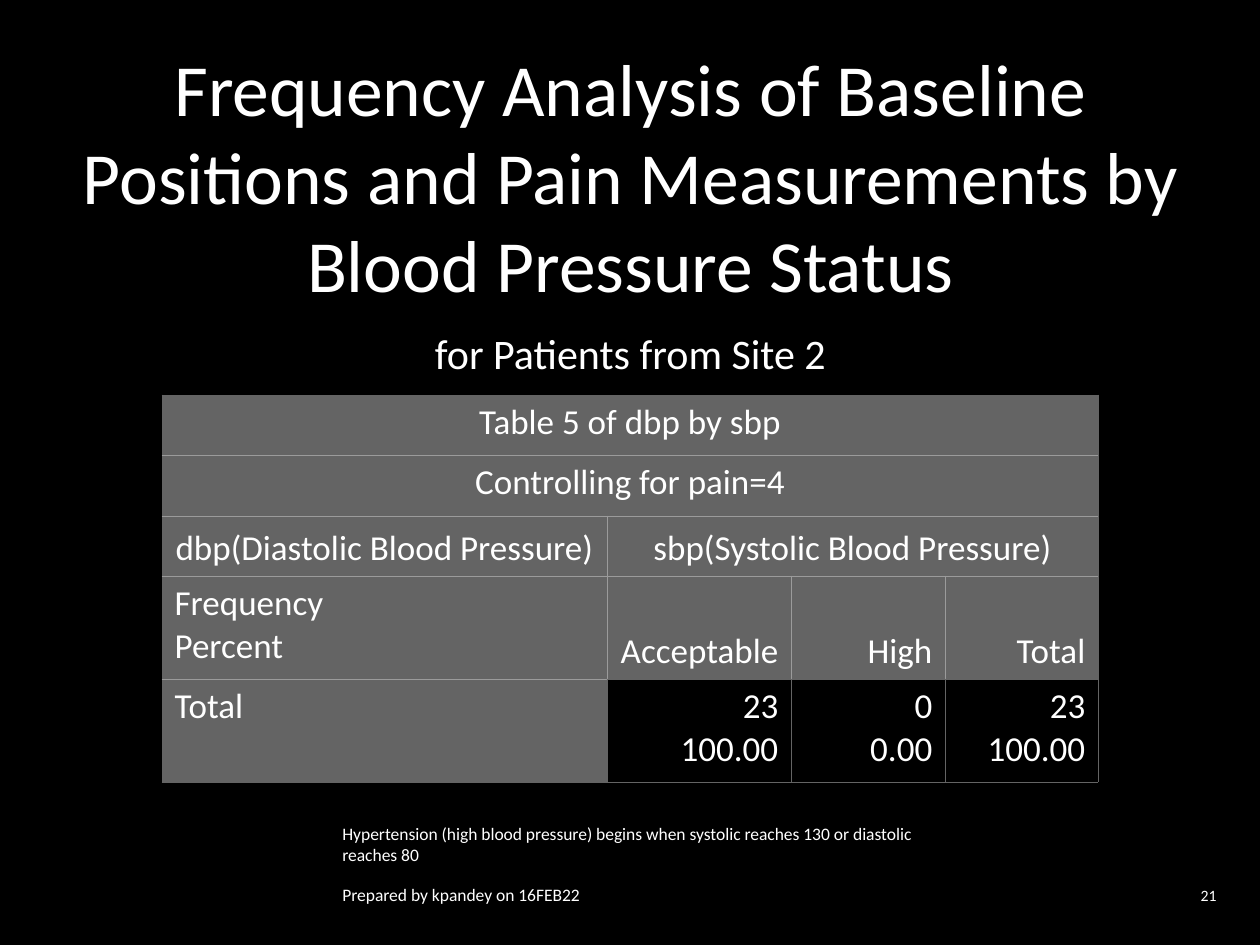
from dataclasses import dataclass

import pptx
import pptx.dml.color
import pptx.enum.text
import pptx.oxml.ns
import pptx.util
from lxml import etree

EMU_PER_PX = 914400 / 126
FONT = "Calibri"
BLACK = pptx.dml.color.RGBColor(0x00, 0x00, 0x00)
WHITE = pptx.dml.color.RGBColor(0xFF, 0xFF, 0xFF)
GREY = pptx.dml.color.RGBColor(0x64, 0x64, 0x64)
LIGHT_GREY = pptx.dml.color.RGBColor(0x9B, 0x9B, 0x9B)

LEFT, CENTER, RIGHT = (
    pptx.enum.text.PP_ALIGN.LEFT,
    pptx.enum.text.PP_ALIGN.CENTER,
    pptx.enum.text.PP_ALIGN.RIGHT,
)
TOP, MIDDLE, BOTTOM = (
    pptx.enum.text.MSO_ANCHOR.TOP,
    pptx.enum.text.MSO_ANCHOR.MIDDLE,
    pptx.enum.text.MSO_ANCHOR.BOTTOM,
)


@dataclass(frozen=True)
class Label:
    text: str
    x: int
    y: int
    w: int
    h: int
    size: int
    align: int = LEFT


@dataclass(frozen=True)
class TableCell:
    row: int
    col: int
    text: str
    align: int = LEFT
    anchor: int = TOP
    span: int = 1
    header: bool = True


LABELS = [
    Label("Frequency Analysis of Baseline\nPositions and Pain Measurements by\n"
          "Blood Pressure Status", 32, 32, 1197, 286, 42, CENTER),
    Label("for Patients from Site 2", 32, 318, 1197, 69, 24, CENTER),
    Label("Hypertension (high blood pressure) begins when systolic reaches 130 or diastolic\n"
          "reaches 80", 330, 814, 599, 60, 10),
    Label("Prepared by kpandey on 16FEB22", 330, 875, 599, 39, 10),
    Label("21", 930, 877, 299, 37, 9, RIGHT),
]

TABLE_X, TABLE_Y = 162, 395
COL_WIDTHS = [445, 184, 154, 153]
ROW_HEIGHTS = [60, 61, 60, 103, 103]
CELLS = [
    TableCell(0, 0, "Table 5 of dbp by sbp", CENTER, span=4),
    TableCell(1, 0, "Controlling for pain=4", CENTER, span=4),
    TableCell(2, 0, "dbp(Diastolic Blood Pressure)", CENTER, BOTTOM),
    TableCell(2, 1, "sbp(Systolic Blood Pressure)", CENTER, BOTTOM, span=3),
    TableCell(3, 0, "Frequency\nPercent"),
    TableCell(3, 1, "Acceptable", RIGHT, BOTTOM),
    TableCell(3, 2, "High", RIGHT, BOTTOM),
    TableCell(3, 3, "Total", RIGHT, BOTTOM),
    TableCell(4, 0, "Total"),
    TableCell(4, 1, "23\n100.00", RIGHT, header=False),
    TableCell(4, 2, "0\n0.00", RIGHT, header=False),
    TableCell(4, 3, "23\n100.00", RIGHT, header=False),
]


def px(n: int) -> pptx.util.Emu:
    return pptx.util.Emu(round(n * EMU_PER_PX))


def write_text(tf, text: str, *, size: int, align: int = LEFT, color=WHITE) -> None:
    """Fill one paragraph, with a line break at each newline."""
    p = tf.paragraphs[0]
    p.alignment = align
    for i, line in enumerate(text.split("\n")):
        if i:
            p.add_line_break()
        r = p.add_run()
        r.text = line
        r.font.name = FONT
        r.font.size = pptx.util.Pt(size)
        r.font.color.rgb = color


def add_label(s, label: Label) -> None:
    sp = s.shapes.add_textbox(px(label.x), px(label.y), px(label.w), px(label.h))
    tf = sp.text_frame
    tf.word_wrap = True
    tf.vertical_anchor = MIDDLE
    write_text(tf, label.text, size=label.size, align=label.align)


def set_border(cell, side: str, color: pptx.dml.color.RGBColor) -> None:
    qn = pptx.oxml.ns.qn
    tc_pr = cell._tc.get_or_add_tcPr()
    ln = etree.SubElement(tc_pr, qn(f"a:ln{side}"), w=str(pptx.util.Pt(0.5)))
    fill = etree.SubElement(ln, qn("a:solidFill"))
    etree.SubElement(fill, qn("a:srgbClr"), val=str(color))


def fill_cell(table, item: TableCell) -> None:
    """Header cells have light inner borders; all other borders are grey."""
    cell = table.cell(item.row, item.col)
    last_col = item.col + item.span - 1
    if item.span > 1:
        cell.merge(table.cell(item.row, last_col))
    inner = {
        "L": item.col > 0,
        "R": last_col < len(COL_WIDTHS) - 1,
        "T": item.row > 0,
        "B": item.row < len(ROW_HEIGHTS) - 1,
    }
    for side, is_inner in inner.items():
        set_border(cell, side, LIGHT_GREY if item.header and is_inner else GREY)
    cell.fill.solid()
    cell.fill.fore_color.rgb = GREY if item.header else BLACK
    cell.vertical_anchor = item.anchor
    write_text(cell.text_frame, item.text, size=20, align=item.align)


def add_frequency_table(s) -> None:
    table = s.shapes.add_table(
        len(ROW_HEIGHTS), len(COL_WIDTHS), px(TABLE_X), px(TABLE_Y),
        px(sum(COL_WIDTHS)), px(sum(ROW_HEIGHTS)),
    ).table
    table.first_row = table.horz_banding = False
    for column, width in zip(table.columns, COL_WIDTHS):
        column.width = px(width)
    for row, height in zip(table.rows, ROW_HEIGHTS):
        row.height = px(height)
    for item in CELLS:
        fill_cell(table, item)


def main() -> None:
    prs = pptx.Presentation()
    prs.slide_width, prs.slide_height = px(1260), px(945)
    s = prs.slides.add_slide(prs.slide_layouts[6])
    s.background.fill.solid()
    s.background.fill.fore_color.rgb = BLACK
    for label in LABELS[:2]:
        add_label(s, label)
    add_frequency_table(s)
    for label in LABELS[2:]:
        add_label(s, label)
    prs.save("out.pptx")


if __name__ == "__main__":
    main()
